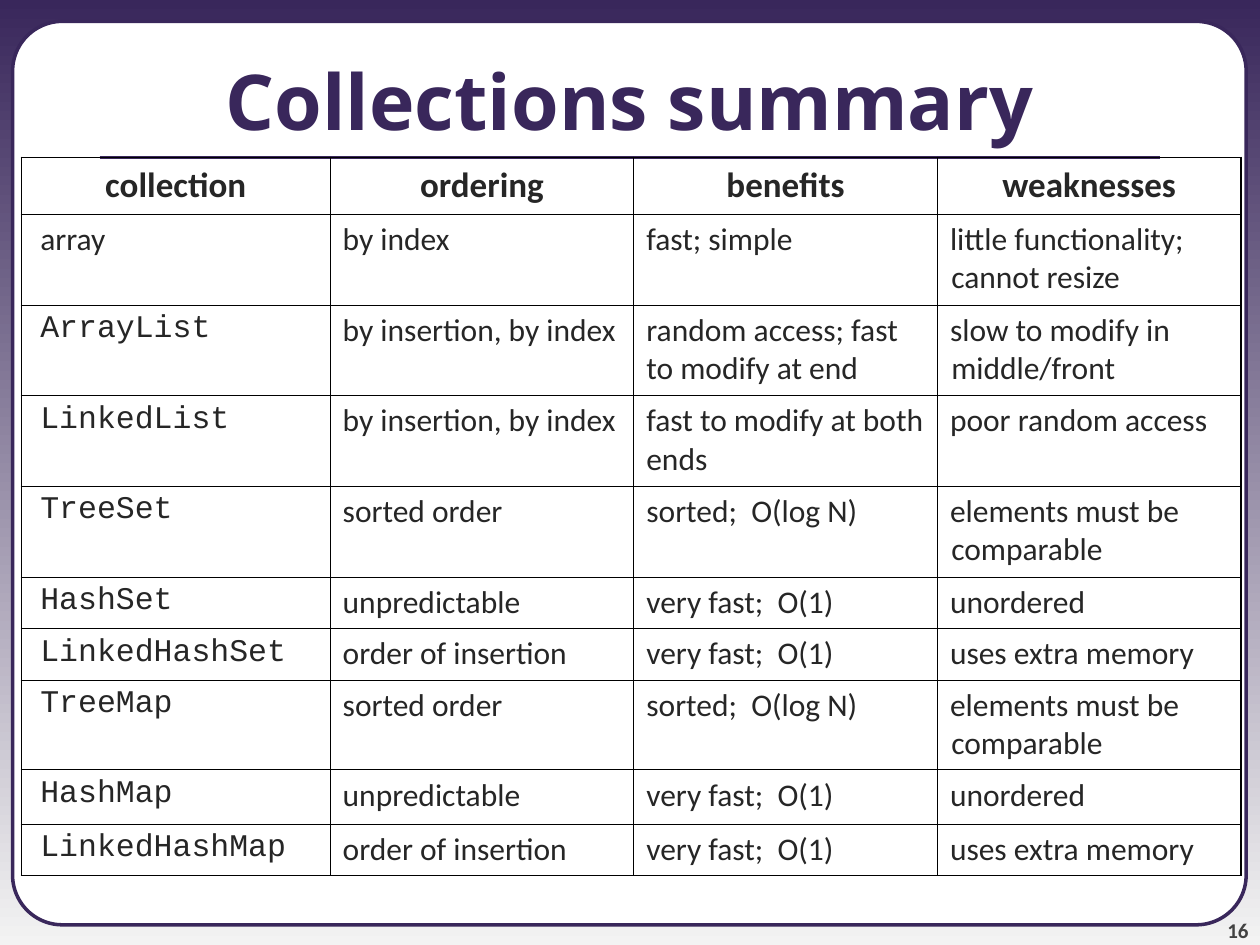
from lxml import etree
from pptx import Presentation
from pptx.dml.color import RGBColor
from pptx.enum.shapes import MSO_CONNECTOR, MSO_SHAPE
from pptx.enum.text import MSO_ANCHOR, MSO_AUTO_SIZE, PP_ALIGN
from pptx.oxml.ns import qn
from pptx.util import Inches, Pt

LEFT, CENTER, RIGHT = PP_ALIGN.LEFT, PP_ALIGN.CENTER, PP_ALIGN.RIGHT
MIDDLE, BOTTOM = MSO_ANCHOR.MIDDLE, MSO_ANCHOR.BOTTOM
PURPLE, INK = "39275B", "262626"
THIN, THICK = Pt(0.45), Pt(1.08)


def color(hex_code):
    return RGBColor.from_string(hex_code)


def write(paragraph, text, size, font, ink, bold=False, align=LEFT):
    paragraph.alignment = align
    run = paragraph.add_run()
    run.text = text
    run.font.size = Pt(size)
    run.font.name = font
    run.font.bold = bold
    run.font.color.rgb = color(ink)


presentation = Presentation()
presentation.slide_width = Inches(10)
presentation.slide_height = Inches(7.5)
slide = presentation.slides.add_slide(presentation.slide_layouts[5])

# Background gradient, dark at the top
background = slide.background.fill
background.gradient()
background.gradient_angle = 270
for stop, shade in zip(background.gradient_stops, (PURPLE, "F3F3F3")):
    stop.color.rgb = color(shade)

# White rounded panel
panel = slide.shapes.add_shape(MSO_SHAPE.ROUNDED_RECTANGLE, Inches(0.1), Inches(0.17),
                               Inches(9.79), Inches(7.17))
panel.adjustments[0] = 0.055
panel.shadow.inherit = False
panel.fill.solid()
panel.fill.fore_color.rgb = color("FFFFFF")
panel.line.color.rgb = color(PURPLE)
panel.line.width = Pt(2)

# Slide number
number = slide.shapes.add_textbox(Inches(9.08), Inches(7.08), Inches(0.83), Inches(0.4))
frame = number.text_frame
frame.word_wrap = True
frame.vertical_anchor = BOTTOM
frame.margin_left = frame.margin_right = frame.margin_top = frame.margin_bottom = 0
write(frame.paragraphs[0], "16", 12, "Calibri", "424242", True, RIGHT)

# Rule under the title
rule = slide.shapes.add_connector(MSO_CONNECTOR.STRAIGHT, Inches(0.79), Inches(1.25),
                                  Inches(9.21), Inches(1.25))
rule.line.color.rgb = color(PURPLE)
rule.line.width = Pt(2.25)
etree.SubElement(rule._element.spPr, qn("a:effectLst"))

# Title, brought in front of the panel
title = slide.shapes.title
slide.shapes._spTree.append(title._element)
title.left, title.top = Inches(0), Inches(0.17)
title.width, title.height = Inches(10), Inches(1.25)
title.text_frame.auto_size = MSO_AUTO_SIZE.NONE
title.text_frame.vertical_anchor = MIDDLE
write(title.text_frame.paragraphs[0], "Collections summary", 44, "Open Sans", PURPLE, True, CENTER)

# Collections table
rows = [
    ("collection", "ordering", "benefits", "weaknesses"),
    ("array", "by index", "fast; simple", "little functionality; cannot resize"),
    ("ArrayList", "by insertion, by index", "random access; fast to modify at end",
     "slow to modify in middle/front"),
    ("LinkedList", "by insertion, by index", "fast to modify at both ends", "poor random access"),
    ("TreeSet", "sorted order", "sorted;  O(log N)", "elements must be comparable"),
    ("HashSet", "unpredictable", "very fast;  O(1)", "unordered"),
    ("LinkedHashSet", "order of insertion", "very fast;  O(1)", "uses extra memory"),
    ("TreeMap", "sorted order", "sorted;  O(log N)", "elements must be comparable"),
    ("HashMap", "unpredictable", "very fast;  O(1)", "unordered"),
    ("LinkedHashMap", "order of insertion", "very fast;  O(1)", "uses extra memory"),
]
column_widths = (2.45, 2.41, 2.41, 2.41)
row_heights = (0.45, 0.72, 0.72, 0.72, 0.72, 0.41, 0.41, 0.71, 0.43, 0.41)
last_row, last_column = len(rows) - 1, len(column_widths) - 1

table = slide.shapes.add_table(len(rows), len(column_widths), Inches(0.17), Inches(1.25),
                               Inches(sum(column_widths)), Inches(sum(row_heights))).table
table.first_row = False
table.horz_banding = False
for column, width in zip(table.columns, column_widths):
    column.width = Inches(width)
for row, height in zip(table.rows, row_heights):
    row.height = Inches(height)

for r, texts in enumerate(rows):
    for c, text in enumerate(texts):
        cell = table.cell(r, c)
        paragraph = cell.text_frame.paragraphs[0]
        if r == 0:
            write(paragraph, text, 20, "Calibri", INK, True, CENTER)
        else:
            is_class = c == 0 and text != "array"
            write(paragraph, text, 18, "Courier New" if is_class else "Calibri", INK)
            properties = paragraph._p.get_or_add_pPr()
            if c == 0:
                properties.set("marL", str(Inches(0.05)))
            elif c == last_column:
                properties.set("marL", str(Inches(0.01)))
                properties.set("indent", str(Inches(-0.01)))

        # Thick borders on the outer edge, thin ones inside
        cell_properties = cell._tc.get_or_add_tcPr()
        for side, is_outer in (("L", c == 0), ("R", c == last_column),
                               ("T", r == 0), ("B", r == last_row)):
            border = etree.SubElement(cell_properties, qn(f"a:ln{side}"),
                                      w=str(THICK if is_outer else THIN))
            fill = etree.SubElement(border, qn("a:solidFill"))
            etree.SubElement(fill, qn("a:srgbClr"), val="000000")
        cell.fill.background()

presentation.save("out.pptx")
